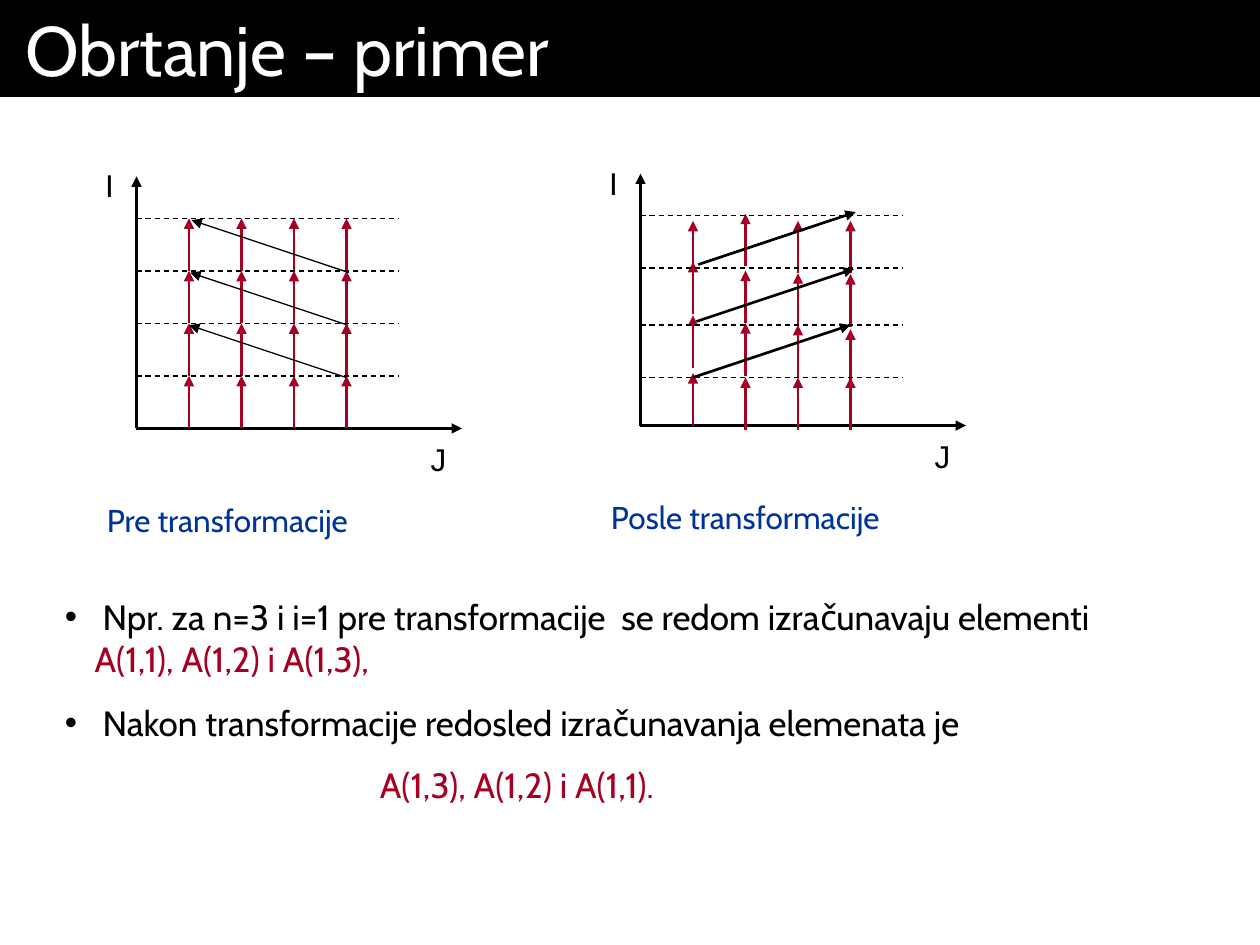
from dataclasses import dataclass

from lxml import etree
from pptx import Presentation
from pptx.dml.color import RGBColor
from pptx.enum.dml import MSO_LINE
from pptx.enum.shapes import MSO_CONNECTOR
from pptx.enum.text import MSO_ANCHOR
from pptx.oxml.ns import qn
from pptx.util import Pt

STRAIGHT = MSO_CONNECTOR.STRAIGHT
DASH = MSO_LINE.DASH
TOP, BOTTOM = MSO_ANCHOR.TOP, MSO_ANCHOR.BOTTOM


@dataclass(frozen=True)
class Theme:
    black: RGBColor = RGBColor(0, 0, 0)
    white: RGBColor = RGBColor(255, 255, 255)
    red: RGBColor = RGBColor(0xA5, 0x00, 0x21)
    blue: RGBColor = RGBColor(0x00, 0x33, 0x99)
    head: float = 40
    body: float = 20
    label: float = 18
    thick: float = 1.5
    thin: float = 0.75
    face: str = "Cabin"
    axis: str = "Arial"


THEME = Theme()
STEP = 30


def style(para, size, color, face=THEME.face):
    para.font.size = Pt(size)
    para.font.name = face
    para.font.color.rgb = color


def add_box(slide, left, top, width, height, inset=7.2, anchor=BOTTOM, wrap=True):
    box = slide.shapes.add_textbox(Pt(left), Pt(top), Pt(width), Pt(height))
    frame = box.text_frame
    frame.word_wrap = wrap
    frame.vertical_anchor = anchor
    frame.margin_left = frame.margin_right = Pt(inset)
    return box


def add_label(slide, text, left, top, width, color, face=THEME.face):
    box = add_box(slide, left, top, width, 28.8, wrap=False)
    para = box.text_frame.paragraphs[0]
    para.text = text
    style(para, THEME.label, color, face)


def add_line(slide, start, end, color, width, arrow=True, dash=None):
    line = slide.shapes.add_connector(STRAIGHT, *map(Pt, start + end))
    line.line.color.rgb = color
    line.line.width = Pt(width)
    if dash:
        line.line.dash_style = dash
    if arrow:
        etree.SubElement(line.line._get_or_add_ln(), qn("a:tailEnd"), type="triangle")
    etree.SubElement(line._element.spPr, qn("a:effectLst"))


def add_title(slide, text, left, top, width, height):
    box = add_box(slide, left, top, width, height, 14.4, TOP)
    box.fill.solid()
    box.fill.fore_color.rgb = THEME.black
    para = box.text_frame.paragraphs[0]
    para.text = text
    style(para, THEME.head, THEME.white)


def add_graph(slide, left, top, caption, width, rows, tips, paths, weight):
    """Heights in rows, tips and paths count upward from the J axis."""
    base = top + 144

    def at(x, up):
        return left + x, base - up

    add_line(slide, at(0, 0), at(0, 144), THEME.black, THEME.thick)
    add_line(slide, at(0, 0), at(186, 0), THEME.black, THEME.thick)
    for col, ups in enumerate(tips, 1):
        for up in ups:
            add_line(slide, at(col * STEP, up - STEP), at(col * STEP, up),
                     THEME.red, THEME.thick)
    for up in rows:
        add_line(slide, at(0, up), at(150, up), THEME.black, THEME.thin, False, DASH)
    for (x, up), run in paths:
        add_line(slide, at(x, up), at(x + run, up + STEP), THEME.black, weight)
    add_label(slide, "I", left - 25, top - 9.4, 19.4, THEME.black, THEME.axis)
    add_label(slide, "J", left + 161, top + 147, 23, THEME.black, THEME.axis)
    add_label(slide, caption, left - 24, top + 182, width, THEME.blue)


def add_bullet(para):
    props = para._p.get_or_add_pPr()
    props.set("marL", str(Pt(17)))
    props.set("indent", str(Pt(-17)))
    tint = etree.SubElement(props, qn("a:buClr"))
    etree.SubElement(tint, qn("a:srgbClr"), val=str(THEME.black))
    etree.SubElement(props, qn("a:buFont"), typeface=THEME.axis)
    etree.SubElement(props, qn("a:buChar"), char="•")


def add_notes(slide, left, top, width, height):
    frame = add_box(slide, left, top, width, height).text_frame
    first, second, last = frame.paragraphs[0], frame.add_paragraph(), frame.add_paragraph()
    for para in (first, second):
        add_bullet(para)
        para.space_before = Pt(12.5)
        style(para, THEME.body, THEME.black)
    first.add_run().text = (
        " Npr. za n=3 i i=1 pre transformacije  se redom izračunavaju elementi")
    first.add_line_break()
    result = first.add_run()
    result.text = "A(1,1), A(1,2) i A(1,3),"
    result.font.color.rgb = THEME.red
    second.text = " Nakon transformacije redosled izračunavanja elemenata je"
    last.text = "A(1,3), A(1,2) i A(1,1)."
    last._p.get_or_add_pPr().set("marL", str(Pt(180)))
    last.space_before = Pt(11.2)
    style(last, THEME.body, THEME.red)


def main():
    deck = Presentation()
    deck.slide_width, deck.slide_height = Pt(720), Pt(540)
    slide = deck.slides.add_slide(deck.slide_layouts[6])
    add_title(slide, "Obrtanje – primer", 0, 0, 720, 55.4)
    even = [STEP * n for n in range(1, 5)]
    add_graph(slide, 78, 100.8, "Pre transformacije", 176, even, [even] * 4,
              [((120 + 0.7 * n, 29 + STEP * n), -90) for n in range(3)], THEME.thin)
    tips = [(30, 63, 93.5, 117), (27.5, 58.5, 88.5, 121),
            (27.5, 57.5, 87, 117), (27.5, 55, 86.5, 117)]
    starts = [(30, 27.5), (32, 59.5), (33, 92)]
    add_graph(slide, 366, 99.2, "Posle transformacije", 192, (27.5, 57.5, 90, 120),
              tips, [(start, 90) for start in starts], THEME.thick)
    add_notes(slide, 30, 336, 647, 127.6)
    deck.save("out.pptx")


if __name__ == "__main__":
    main()
